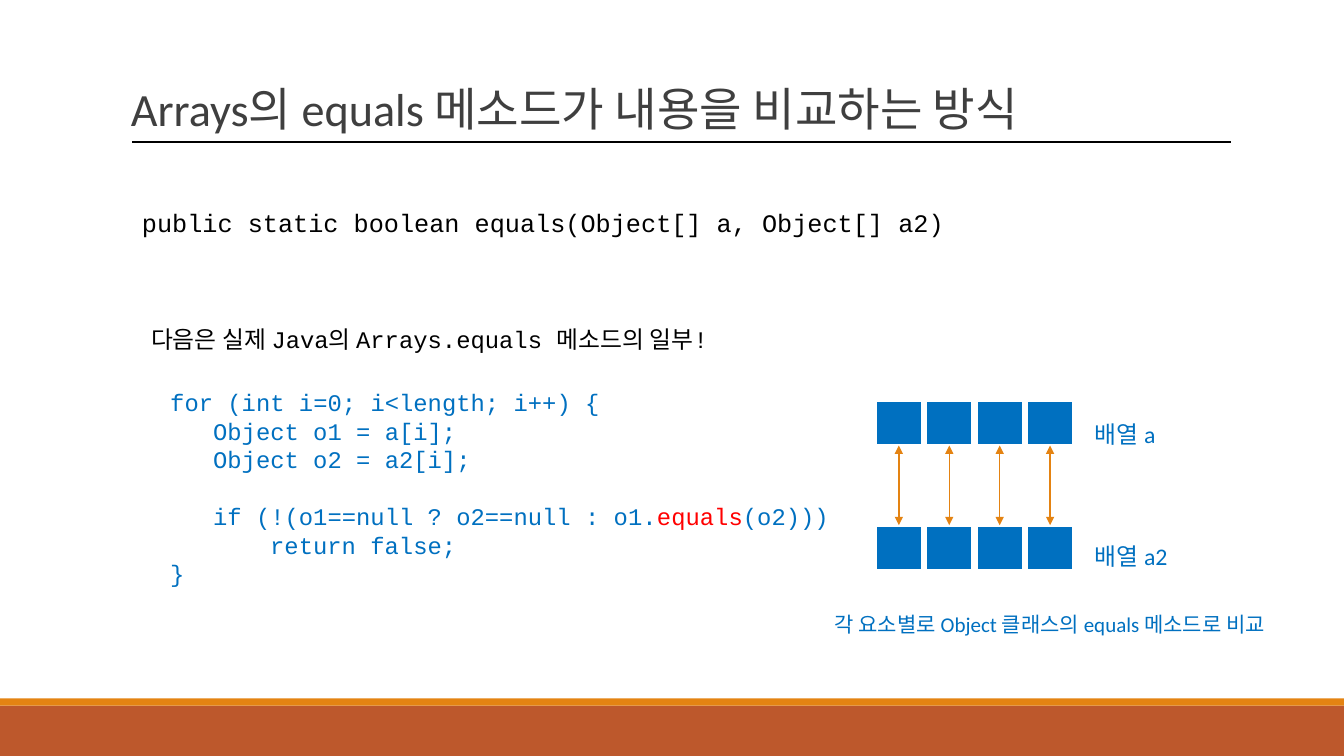
from pptx import Presentation
from pptx.dml.color import RGBColor
from pptx.enum.shapes import MSO_CONNECTOR, MSO_SHAPE
from pptx.enum.text import MSO_ANCHOR
from pptx.util import Inches, Pt
from lxml.etree import SubElement
from pptx.oxml.ns import qn

BLUE, ORANGE, RUST = "0070C0", "E48312", "BD582C"
BLACK, GRAY, RED, WHITE = "000000", "3F3F3F", "FF0000", "FFFFFF"
SANS, MONO = "Calibri", "Courier New"
TOP, BOTTOM = 0, 2


def color(value):
    return RGBColor.from_string(value)


class SlideBuilder:
    def __init__(self, page):
        self.page = page

    def rectangle(self, left, top, width, height, fill, outline=None):
        box = self.page.shapes.add_shape(
            MSO_SHAPE.RECTANGLE, Inches(left), Inches(top), Inches(width), Inches(height))
        box.shadow.inherit = False
        box.fill.solid()
        box.fill.fore_color.rgb = color(fill)
        if outline:
            box.line.color.rgb = color(outline)
            box.line.width = Pt(2.25)
        else:
            box.line.fill.background()
        return box

    def line(self, start, end, stroke):
        connector = self.page.shapes.add_connector(
            MSO_CONNECTOR.STRAIGHT, *(Inches(value) for value in (*start, *end)))
        connector.line.color.rgb = color(stroke)
        connector.line.width = Pt(1)
        SubElement(connector._element.spPr, qn("a:effectLst"))
        return connector

    def double_arrow(self, upper, lower):
        """Join the bottom of the upper box to the top of the lower one."""
        arrow = self.line((0, 0), (0, 0), ORANGE)
        arrow.begin_connect(upper, BOTTOM)
        arrow.end_connect(lower, TOP)
        for end in ("a:headEnd", "a:tailEnd"):
            SubElement(arrow.line._get_or_add_ln(), qn(end), type="triangle")

    def text_box(self, left, top, width, height, anchor=MSO_ANCHOR.TOP):
        frame = self.page.shapes.add_textbox(
            Inches(left), Inches(top), Inches(width), Inches(height)).text_frame
        frame.word_wrap = True
        frame.vertical_anchor = anchor
        return frame

    def style(self, para, size, name, fill, spacing):
        para.font.size = Pt(size)
        para.font.name = name
        para.font.color.rgb = color(fill)
        para.line_spacing = spacing

    def text(self, area, words, size, name, fill, spacing=1.0, anchor=MSO_ANCHOR.TOP):
        para = self.text_box(*area, anchor).paragraphs[0]
        para.text = words
        self.style(para, size, name, fill, spacing)

    def code(self, area, lines, size, pitch):
        """Lines are (indent in characters, blank lines before, words, highlight)."""
        frame = self.text_box(*area)
        for index, (indent, gap, words, highlight) in enumerate(lines):
            para = frame.add_paragraph() if index else frame.paragraphs[0]
            self.style(para, size, MONO, BLUE, Pt(pitch))
            para.space_before = Pt(gap * pitch)
            para._p.get_or_add_pPr().set("marL", str(Pt(indent * size * 0.6)))
            if not highlight:
                para.text = words
                continue
            before, after = words.split(highlight)
            for part in (before, highlight, after):
                span = para.add_run()
                span.text = part
                if part == highlight:
                    span.font.color.rgb = color(RED)


def main():
    deck = Presentation()
    deck.slide_width, deck.slide_height = Inches(13.33), Inches(7.5)
    slide = SlideBuilder(deck.slides.add_slide(deck.slide_layouts[6]))

    slide.rectangle(0, 7, 13.33, 0.5, RUST)
    slide.rectangle(0, 6.93, 13.33, 0.07, ORANGE)

    slide.text((1.2, 0.14, 11, 1.26), "Arrays의 equals 메소드가 내용을 비교하는 방식",
               33, SANS, GRAY, 0.85, MSO_ANCHOR.BOTTOM)
    slide.line((1.31, 1.41), (12.21, 1.41), BLACK)

    slide.text((1.31, 2.01, 8.18, 0.4),
               "public static boolean equals(Object[] a, Object[] a2)", 18, MONO, BLACK)
    slide.text((1.4, 3.17, 8, 0.4),
               "다음은 실제 Java의 Arrays.equals 메소드의 일부!", 17, MONO, BLACK)
    slide.code((1.59, 3.8, 7.1, 2.1), [
        (0, 0, "for (int i=0; i<length; i++) {", None),
        (3, 0, "Object o1 = a[i];", None),
        (3, 0, "Object o2 = a2[i];", None),
        (3, 1, "if (!(o1==null ? o2==null : o1.equals(o2)))", "equals"),
        (7, 0, "return false;", None),
        (0, 0, "}", None),
    ], 17, 20.4)

    upper_row, lower_row = (
        [slide.rectangle(8.68 + 0.5 * column, top, 0.47, 0.45, BLUE, WHITE)
         for column in range(4)]
        for top in (3.97, 5.21))
    for upper, lower in zip(upper_row, lower_row):
        slide.double_arrow(upper, lower)

    for top, label in ((3.97, "배열 a"), (5.18, "배열 a2")):
        slide.text((10.76, top, 1.44, 0.48), label, 17, SANS, BLUE, 1.5)
    slide.text((8.18, 5.89, 4.85, 0.48),
               "각 요소별로 Object 클래스의 equals 메소드로 비교", 15, SANS, BLUE, 1.5)

    deck.save("out.pptx")


if __name__ == "__main__":
    main()
